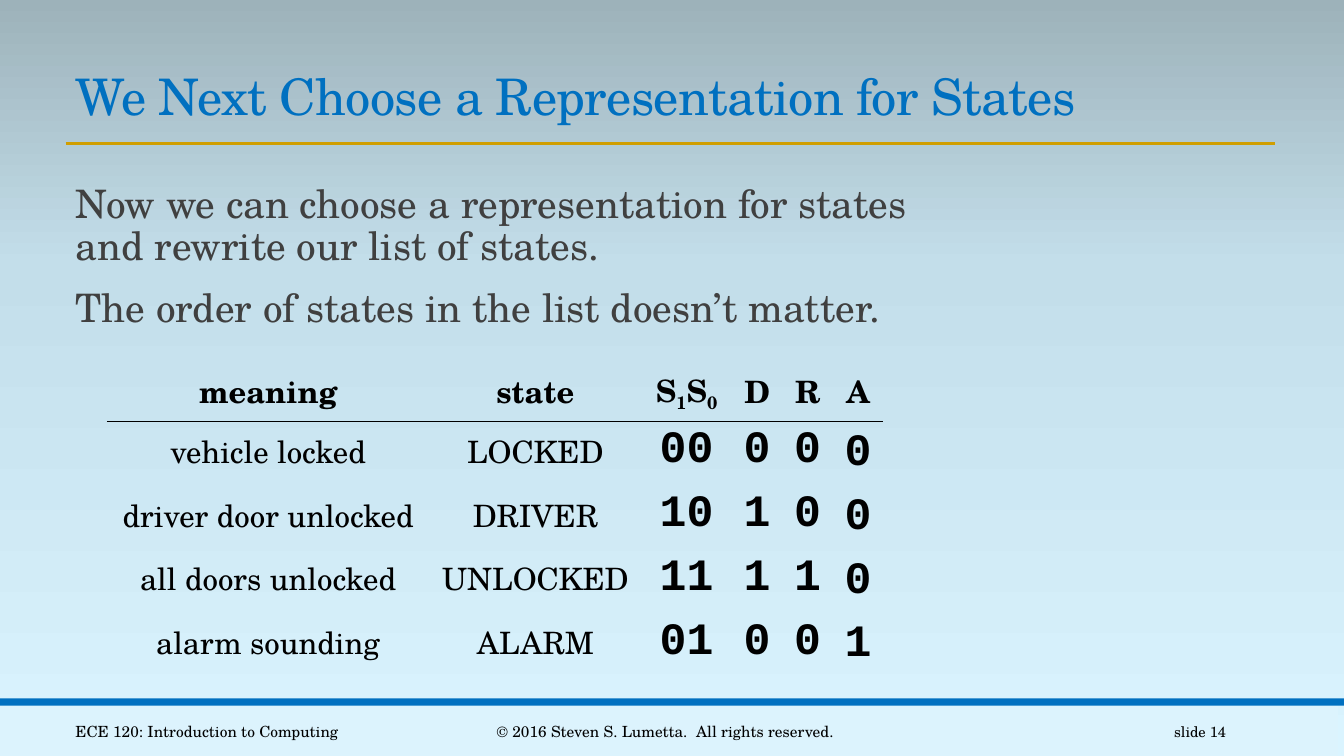
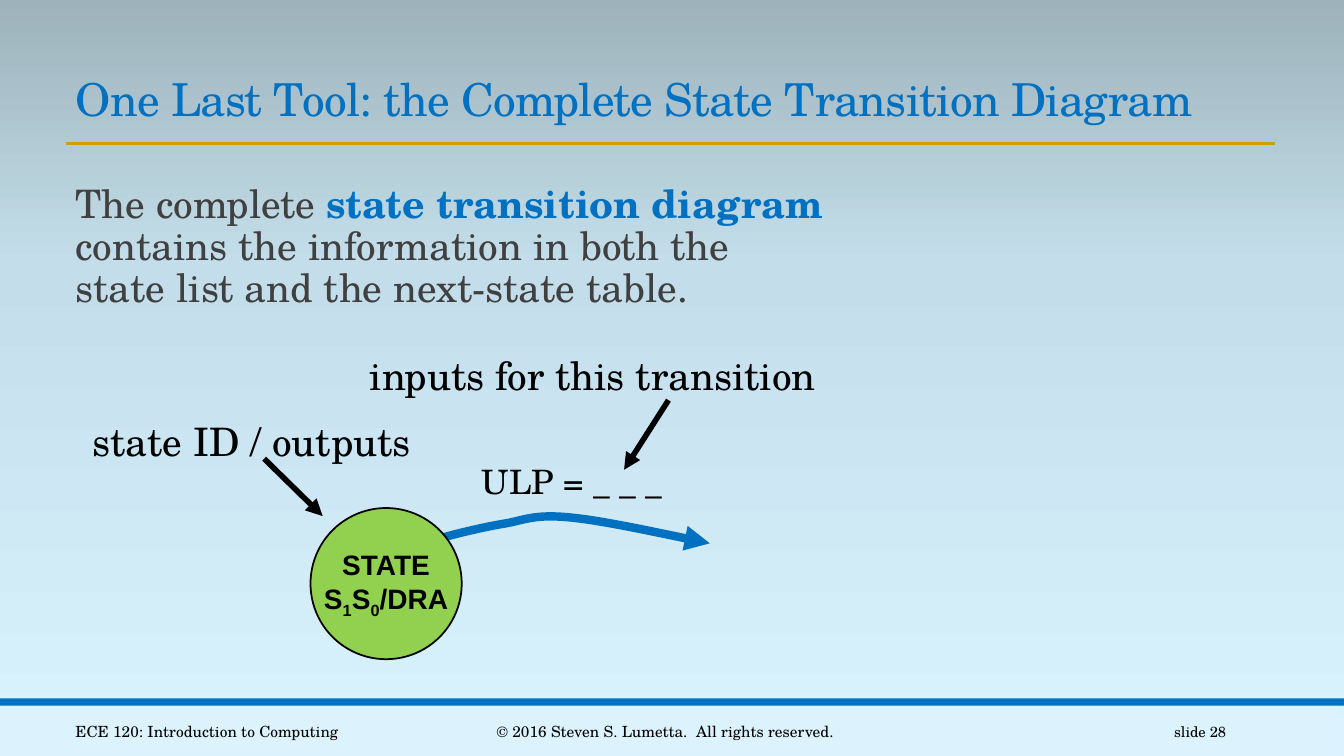
import dataclasses

import lxml.etree
import copy
import pptx
import pptx.dml.color
import pptx.enum.shapes
import pptx.enum.text
import pptx.oxml.ns
import pptx.util

EMU_PER_PX = 9144  # 100 px to the inch
ALIGN = pptx.enum.text.PP_ALIGN
ANCHOR = pptx.enum.text.MSO_ANCHOR
SHAPE = pptx.enum.shapes.MSO_SHAPE
NO_GRID_STYLE = "{2D5ABB26-0587-4C30-8999-92F81FD0307C}"
qn = pptx.oxml.ns.qn


@dataclasses.dataclass(frozen=True)
class Theme:
    serif: str = "TeX Gyre Schola"
    sans: str = "Arial"
    mono: str = "Courier New"
    blue: str = "0070C0"
    gold: str = "D09E00"
    green: str = "92D050"
    gray: str = "404040"
    black: str = "000000"
    footer_fill: str = "DCF3FD"
    background: tuple = ((0, "DAF4FF"), (0.65, "C3DEEA"), (1, "9DB2BA"))
    title_size: float = 36
    body_size: float = 28
    formula_size: float = 24
    table_size: float = 22
    bits_size: float = 32
    state_size: float = 20
    footer_size: float = 11
    number_size: float = 10.5


THEME = Theme()
SUBSCRIPT = {"baseline": -25000}
STATE_BITS = [("S", {}), ("1", SUBSCRIPT), ("S", {}), ("0", SUBSCRIPT)]


def px(length):
    return pptx.util.Emu(round(length * EMU_PER_PX))


def rgb(color):
    return pptx.dml.color.RGBColor.from_string(color)


def format_run(run, font=THEME.serif, size=THEME.body_size, color=THEME.black,
               bold=False, baseline=None, tracking=None):
    run.font.name = font
    run.font.size = pptx.util.Pt(size)
    run.font.color.rgb = rgb(color)
    run.font.bold = bold
    for name, value in (("baseline", baseline), ("spc", tracking)):
        if value is not None:
            run._r.get_or_add_rPr().set(name, str(value))


def write_text(frame, paragraphs, align=ALIGN.LEFT, line_spacing=None,
               before=0, after=0, indent=0, **run_format):
    """Fill a frame with paragraphs, each a string or a list of (text, format) runs."""
    if isinstance(paragraphs, str):
        paragraphs = [paragraphs]
    for index, content in enumerate(paragraphs):
        paragraph = frame.add_paragraph() if index else frame.paragraphs[0]
        paragraph.alignment = align
        paragraph.line_spacing = line_spacing
        paragraph.space_before = pptx.util.Pt(before)
        paragraph.space_after = pptx.util.Pt(after)
        if indent:
            paragraph._p.get_or_add_pPr().set("marL", str(px(indent)))
        runs = [(content, {})] if isinstance(content, str) else content
        for text, changes in runs:
            for number, line in enumerate(text.split("\n")):
                if number:
                    paragraph.add_line_break()
                run = paragraph.add_run()
                run.text = line
                format_run(run, **{**run_format, **changes})


def set_box(holder, anchor=ANCHOR.TOP, insets=(10, 5, 10, 5)):
    """Set anchor and insets of a text frame or a table cell."""
    holder.vertical_anchor = anchor
    (holder.margin_left, holder.margin_top,
     holder.margin_right, holder.margin_bottom) = map(px, insets)


def set_line(shape, color, width, arrow=False):
    shape.line.color.rgb = rgb(color)
    shape.line.width = pptx.util.Pt(width)
    if arrow:
        line = shape.line._get_or_add_ln()
        lxml.etree.SubElement(line, qn("a:tailEnd"), type="triangle")


def underline_cell(cell, color):
    border = lxml.etree.Element(qn("a:lnB"), w=str(pptx.util.Pt(1)))
    fill = lxml.etree.SubElement(border, qn("a:solidFill"))
    lxml.etree.SubElement(fill, qn("a:srgbClr"), val=color)
    cell._tc.get_or_add_tcPr().insert(0, border)


def curve_points(start, segments, steps=16):
    """Points along a chain of cubic Bézier segments."""
    points = [start]
    for first, second, end in segments:
        for step in range(1, steps + 1):
            t = step / steps
            weights = ((1 - t) ** 3, 3 * t * (1 - t) ** 2, 3 * t * t * (1 - t), t ** 3)
            controls = (start, first, second, end)
            points.append(tuple(sum(weight * control[axis]
                                    for weight, control in zip(weights, controls))
                                for axis in (0, 1)))
        start = end
    return points


class Deck:
    def __init__(self, theme):
        self.theme = theme
        self.presentation = pptx.Presentation()
        self.presentation.slide_width = px(1333)
        self.presentation.slide_height = px(750)
        self.slide = None
        self.set_background()

    def set_background(self):
        fill = self.presentation.slide_master.background.fill
        fill.gradient()
        fill.gradient_angle = 90
        stops = fill.gradient_stops
        stop_list = stops[0]._gs.getparent()
        stop_list.append(copy.deepcopy(stops[0]._gs))
        for stop, (position, color) in zip(fill.gradient_stops, self.theme.background):
            stop.position = position
            stop.color.rgb = rgb(color)

    def add_slide(self, title, number, title_size=None):
        theme = self.theme
        layout = self.presentation.slide_layouts.get_by_name("Title Only")
        self.slide = self.presentation.slides.add_slide(layout)
        self.shape(SHAPE.RECTANGLE, (-6, 700, 1333, 50), theme.footer_fill)
        self.shape(SHAPE.RECTANGLE, (0, 693, 1333, 7), theme.blue)
        self.line((65, 142), (1265, 142), theme.gold, 2)
        self.title(title, title_size or theme.title_size)
        footers = (
            (65, 325, "ECE 120: Introduction to Computing", ALIGN.LEFT, theme.footer_size),
            (403, 514, "© 2016 Steven S. Lumetta.  All rights reserved.",
             ALIGN.CENTER, theme.footer_size),
            (1083, 143, f"slide {number}", ALIGN.RIGHT, theme.number_size),
        )
        for left, width, text, align, size in footers:
            self.text((left, 706, width, 40), text, anchor=ANCHOR.MIDDLE,
                      align=align, size=size)

    def title(self, text, size):
        shape = self.slide.shapes.title
        shape.left, shape.top, shape.width, shape.height = map(px, (65, 59, 1201, 71))
        frame = shape.text_frame
        frame.word_wrap = True
        frame.auto_size = pptx.enum.text.MSO_AUTO_SIZE.NONE
        set_box(frame, ANCHOR.BOTTOM)
        write_text(frame, text, line_spacing=0.85, size=size,
                   color=self.theme.blue, tracking=-50)

    def text(self, box, paragraphs, anchor=ANCHOR.TOP, insets=(10, 5, 10, 5),
             wrap=True, **text_format):
        frame = self.slide.shapes.add_textbox(*map(px, box)).text_frame
        frame.word_wrap = wrap
        set_box(frame, anchor, insets)
        write_text(frame, paragraphs, **text_format)

    def body(self, paragraphs):
        self.text((65, 178, 852, 464), paragraphs, insets=(0, 5, 0, 5), indent=10,
                  line_spacing=0.9, before=12, after=2, color=self.theme.gray)

    def shape(self, preset, box, fill):
        shape = self.slide.shapes.add_shape(preset, *map(px, box))
        shape.shadow.inherit = False
        shape.fill.solid()
        shape.fill.fore_color.rgb = rgb(fill)
        shape.line.fill.background()
        return shape

    def state(self, box, paragraphs):
        circle = self.shape(SHAPE.OVAL, box, self.theme.green)
        set_line(circle, self.theme.black, 1.25)
        circle.text_frame.word_wrap = False
        set_box(circle.text_frame, ANCHOR.MIDDLE, (0, 0, 0, 0))
        write_text(circle.text_frame, paragraphs, align=ALIGN.CENTER,
                   font=self.theme.sans, size=self.theme.state_size, bold=True)

    def line(self, start, end, color, width, arrow=False):
        connector = self.slide.shapes.add_connector(
            pptx.enum.shapes.MSO_CONNECTOR.STRAIGHT, *map(px, start + end))
        set_line(connector, color, width, arrow)
        lxml.etree.SubElement(connector._element.spPr, qn("a:effectLst"))

    def curved_arrow(self, start, segments, color, width):
        points = [(px(x), px(y)) for x, y in curve_points(start, segments)]
        builder = self.slide.shapes.build_freeform(*points[0])
        builder.add_line_segments(points[1:], close=False)
        curve = builder.convert_to_shape()
        curve.shadow.inherit = False
        curve.fill.background()
        set_line(curve, color, width, arrow=True)

    def state_table(self, left, top, widths, row_height, rows):
        """Table with an underlined bold header, two text columns, then bit columns."""
        theme = self.theme
        frame = self.slide.shapes.add_table(
            len(rows), len(widths), px(left), px(top),
            px(sum(widths)), px(row_height * len(rows)))
        table = frame.table
        table.first_row = table.horz_banding = False
        next(frame._element.iter(qn("a:tableStyleId"))).text = NO_GRID_STYLE
        for column, width in zip(table.columns, widths):
            column.width = px(width)
        for row_index, row in enumerate(rows):
            table.rows[row_index].height = px(row_height)
            header = row_index == 0
            for column_index, content in enumerate(row):
                cell = table.cell(row_index, column_index)
                cell.fill.background()
                full_inset = header or column_index == len(widths) - 1
                set_box(cell, ANCHOR.MIDDLE, (10, 5 if full_inset else 0, 10, 5))
                bits = not header and column_index >= 2
                write_text(cell.text_frame, [content], align=ALIGN.CENTER,
                           font=theme.mono if bits else theme.serif,
                           size=theme.bits_size if bits else theme.table_size,
                           bold=header or bits)
                if header:
                    underline_cell(cell, theme.black)


def add_representation_slide(deck):
    deck.add_slide("We Next Choose a Representation for States", 14)
    deck.body(["Now we can choose a representation for states and rewrite our list of states.",
               "The order of states in the list doesn’t matter."])
    deck.state_table(106, 358, (320, 210, 90, 50, 50, 50), 60, [
        ("meaning", "state", STATE_BITS, "D", "R", "A"),
        ("vehicle locked", "LOCKED", "00", "0", "0", "0"),
        ("driver door unlocked", "DRIVER", "10", "1", "0", "0"),
        ("all doors unlocked", "UNLOCKED", "11", "1", "1", "0"),
        ("alarm sounding", "ALARM", "01", "0", "0", "1"),
    ])


def add_diagram_slide(deck):
    theme = deck.theme
    deck.add_slide("One Last Tool: the Complete State Transition Diagram", 28, title_size=32.4)
    deck.body([[("The complete ", {}),
                ("state transition diagram ", {"color": theme.blue, "bold": True}),
                ("contains the information in both the \nstate list and the next-state table.",
                 {})]])
    deck.curved_arrow((433, 535), [
        ((454, 529), (475, 524), (497, 520)),
        ((518, 517), (527, 510), (562, 513)),
        ((597, 516), (650, 528), (704, 539)),
    ], theme.blue, 6)
    deck.text((468, 452, 200, 50), "ULP = _ _ _", wrap=False, size=theme.formula_size)
    deck.state((308, 504, 150, 150), ["STATE", STATE_BITS + [("/DRA", {})]])
    deck.text((82, 409, 339, 57), "state ID / outputs", wrap=False)
    deck.line((262, 455), (320, 512), theme.black, 4, arrow=True)
    deck.text((357, 344, 466, 57), "inputs for this transition")
    deck.line((663, 397), (619, 466), theme.black, 4, arrow=True)


def main():
    deck = Deck(THEME)
    add_representation_slide(deck)
    add_diagram_slide(deck)
    deck.presentation.save("out.pptx")


if __name__ == "__main__":
    main()
